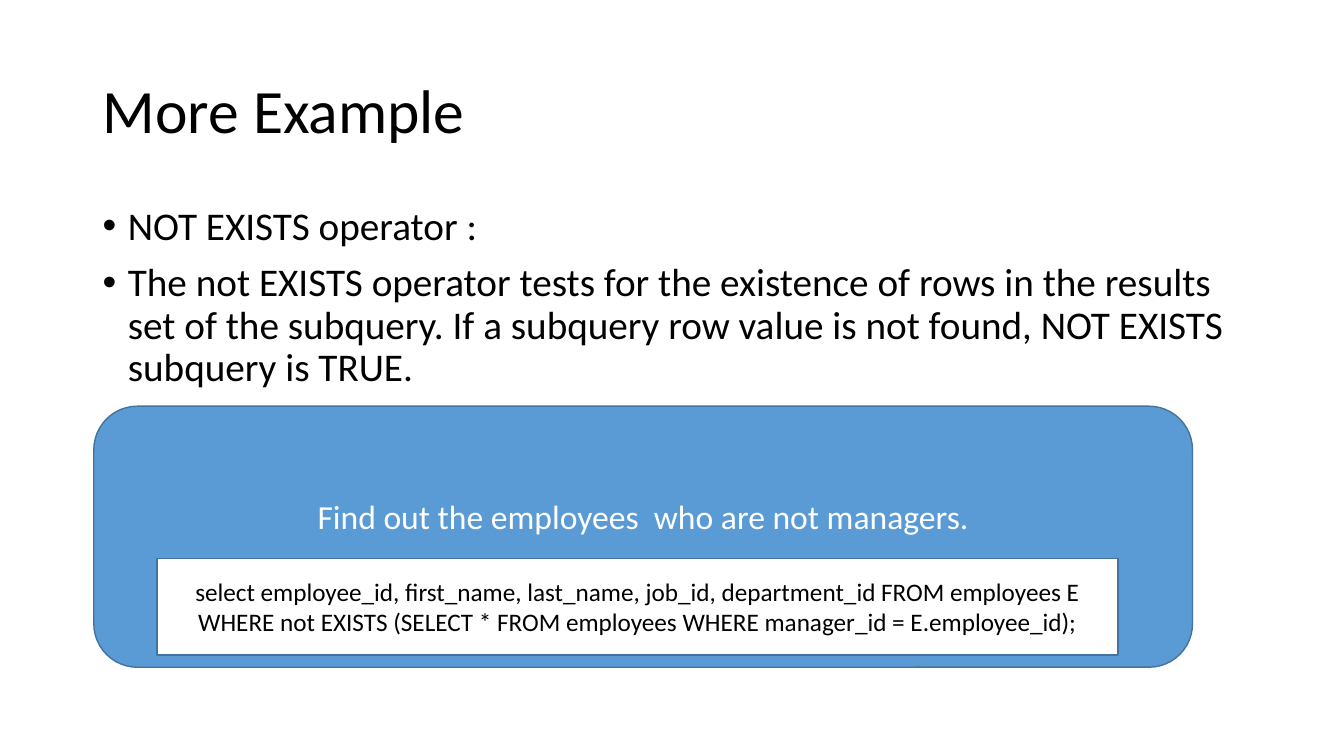
"""Build the NOT EXISTS operator slide."""
from lxml.etree import SubElement
from pptx import Presentation
from pptx.dml.color import RGBColor
from pptx.enum.shapes import MSO_SHAPE
from pptx.enum.text import MSO_ANCHOR, PP_ALIGN
from pptx.oxml.ns import qn
from pptx.util import Inches, Pt

BLACK = RGBColor(0x00, 0x00, 0x00)
WHITE = RGBColor(0xFF, 0xFF, 0xFF)
BLUE = RGBColor(0x5B, 0x9B, 0xD5)
EDGE = RGBColor(0x43, 0x73, 0x9E)
FONT = "Calibri"
WIDTH, HEIGHT = Inches(13.33), Inches(7.5)
COL, ROW = WIDTH / 100, HEIGHT / 100

TITLE = "More Example"
POINTS = [
    "NOT EXISTS operator :",
    "The not EXISTS operator tests for the existence of rows in the results "
    "set of the subquery. If a subquery row value is not found, NOT EXISTS "
    "subquery is TRUE.",
]
TASK = "Find out the employees  who are not managers."
QUERY = (
    "select employee_id, first_name, last_name, job_id, department_id "
    "FROM employees E WHERE not EXISTS (SELECT * FROM employees "
    "WHERE manager_id = E.employee_id);"
)


def cells(col, row, cols, rows):
    """Turn a place on the 100 by 100 grid into slide lengths."""
    return int(col * COL), int(row * ROW), int(cols * COL), int(rows * ROW)


def add_bullet(p):
    """Give a paragraph a hanging round bullet."""
    pPr = p._p.get_or_add_pPr()
    pPr.set("marL", str(Inches(0.25)))
    pPr.set("indent", str(-Inches(0.25)))
    SubElement(pPr, qn("a:buFont"), typeface="Arial")
    SubElement(pPr, qn("a:buChar"), char="•")


def write(sp, *texts, size, color=BLACK, align=PP_ALIGN.LEFT,
          anchor=MSO_ANCHOR.MIDDLE, spacing=1.0, gap=0, bullets=False):
    """Fill a shape with one formatted paragraph per text."""
    tf = sp.text_frame
    tf.word_wrap = True
    tf.vertical_anchor = anchor
    for i, text in enumerate(texts):
        p = tf.add_paragraph() if i else tf.paragraphs[0]
        p.alignment = align
        p.line_spacing = spacing
        if i:
            p.space_before = Pt(gap)
        if bullets:
            add_bullet(p)
        r = p.add_run()
        r.text = text
        r.font.name = FONT
        r.font.size = Pt(size)
        r.font.color.rgb = color


def add_panel(s, kind, place, fill):
    """Add a filled shape with a thin dark blue edge."""
    sp = s.shapes.add_shape(kind, *cells(*place))
    sp.shadow.inherit = False
    sp.fill.solid()
    sp.fill.fore_color.rgb = fill
    sp.line.color.rgb = EDGE
    sp.line.width = Pt(1)
    return sp


def main():
    """Build and save the slide."""
    prs = Presentation()
    prs.slide_width, prs.slide_height = WIDTH, HEIGHT
    s = prs.slides.add_slide(prs.slide_layouts[6])

    title = s.shapes.add_textbox(*cells(6.9, 5.33, 86.25, 19.33))
    write(title, TITLE, size=44, spacing=0.9)

    body = s.shapes.add_textbox(*cells(6.9, 26.67, 86.25, 63.47))
    write(body, *POINTS, size=28, anchor=MSO_ANCHOR.TOP, spacing=0.9,
          gap=10, bullets=True)

    task = add_panel(s, MSO_SHAPE.ROUNDED_RECTANGLE,
                     (6.98, 53.73, 81.75, 34.53), BLUE)
    task.text_frame.margin_bottom = Inches(0.46)
    write(task, TASK, size=24, color=WHITE, align=PP_ALIGN.CENTER)

    query = add_panel(s, MSO_SHAPE.RECTANGLE, (11.7, 73.87, 71.48, 12.8), WHITE)
    write(query, QUERY, size=18, align=PP_ALIGN.CENTER)

    prs.save("out.pptx")


if __name__ == "__main__":
    main()
